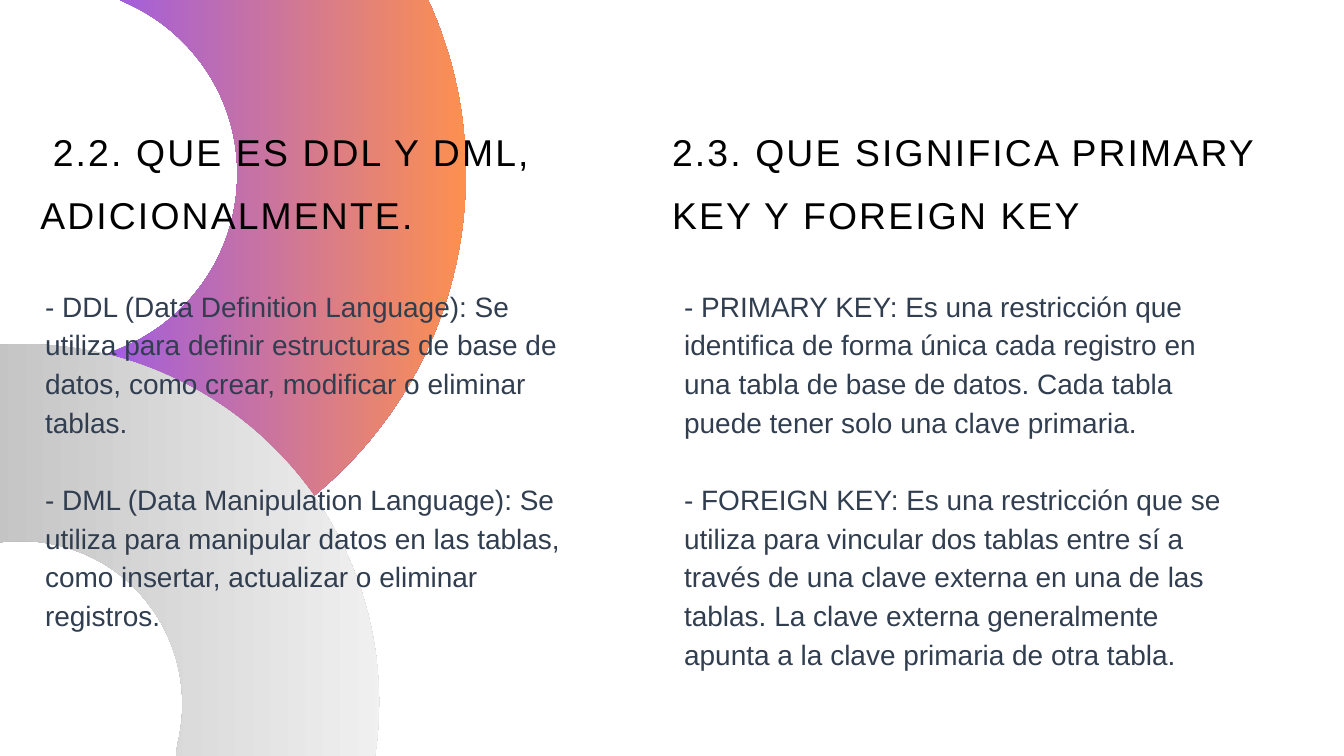
from math import cos, radians, sin

from lxml.etree import SubElement
from pptx import Presentation
from pptx.dml.color import RGBColor
from pptx.enum.text import MSO_AUTO_SIZE as AutoSize
from pptx.oxml.ns import qn
from pptx.util import Pt

PX = 9144


def px(n):
    return round(n * PX)


def color(value):
    return RGBColor.from_string(value)


class Deck:
    font = "Arial"
    title_color = "000000"
    body_color = "313E50"

    def __init__(self, width, height):
        self.prs = Presentation()
        self.prs.slide_width = px(width)
        self.prs.slide_height = px(height)
        self.s = self.prs.slides.add_slide(self.prs.slide_layouts[6])
        self.s.background.fill.solid()
        self.s.background.fill.fore_color.rgb = color("FFFFFF")

    def arc(self, x, y, w, h, angle, start, curves, colors):
        turn = radians(angle)

        def local(point):
            dx = point[0] - x - w / 2
            dy = point[1] - y - h / 2
            return (
                px(w / 2 + dx * cos(turn) + dy * sin(turn)),
                px(h / 2 - dx * sin(turn) + dy * cos(turn)),
            )

        fb = self.s.shapes.build_freeform(0, 0)
        fb.add_line_segments([(px(w), 0), (px(w), px(h))])
        sp = fb.convert_to_shape()
        sp.left, sp.top, sp.width, sp.height = px(x), px(y), px(w), px(h)
        outline = sp._element.xpath(".//a:path")[0]
        for child in list(outline):
            outline.remove(child)
        for tag, points in [
            ("a:moveTo", [start]),
            *(("a:cubicBezTo", curve) for curve in curves),
            ("a:close", []),
        ]:
            segment = SubElement(outline, qn(tag))
            for point in points:
                px_x, px_y = local(point)
                SubElement(segment, qn("a:pt"), x=str(px_x), y=str(px_y))
        sp.shadow.inherit = False
        sp.line.fill.background()
        sp.fill.gradient()
        sp.fill.gradient_angle = 0
        for stop, value in zip(sp.fill.gradient_stops, colors):
            stop.color.rgb = color(value)
        self.s.shapes.add_group_shape([sp]).rotation = angle

    def text(self, x, y, w, h, paragraphs, size, leading, rgb, spacing=0):
        tf = self.s.shapes.add_textbox(px(x), px(y), px(w), px(h)).text_frame
        tf.margin_left = tf.margin_top = tf.margin_right = tf.margin_bottom = 0
        tf.word_wrap = True
        tf.auto_size = AutoSize.SHAPE_TO_FIT_TEXT
        for i, line in enumerate(paragraphs):
            p = tf.add_paragraph() if i else tf.paragraphs[0]
            p.line_spacing = Pt(leading)
            if i:
                p.space_before = Pt(leading)
            r = p.add_run()
            r.text = line
            r.font.name = self.font
            r.font.size = Pt(size)
            r.font.color.rgb = color(rgb)
            if spacing:
                r._r.get_or_add_rPr().set("spc", str(spacing))

    def title(self, x, w, words):
        self.text(x, 164, w, 182, [words], 40, 68, self.title_color, 236)

    def body(self, x, h, paragraphs):
        self.text(x, 423, 809, h, paragraphs, 30, 41.4, self.body_color)

    def save(self):
        self.prs.save("out.pptx")


SUNSET_ARC = [
    ((88, -176), (93, -198), (103, -220)),
    ((142, -305), (242, -344), (327, -305)),
    ((555, -204), (699, 23), (693, 272)),
    ((688, 521), (536, 741), (304, 834)),
    ((216, 869), (117, 827), (83, 739)),
    ((48, 652), (91, 553), (178, 519)),
    ((282, 477), (351, 377), (353, 265)),
    ((356, 153), (291, 51), (189, 5)),
    ((125, -23), (86, -88), (88, -154)),
]
GRAY_ARC = [
    ((-271, 823), (-285, 809), (-295, 792)),
    ((-337, 722), (-316, 633), (-247, 591)),
    ((-64, 478), (167, 487), (342, 612)),
    ((516, 737), (598, 953), (551, 1163)),
    ((533, 1242), (455, 1292), (376, 1274)),
    ((297, 1256), (247, 1177), (266, 1099)),
    ((286, 1004), (249, 907), (171, 850)),
    ((92, 794), (-12, 790), (-94, 840)),
    ((-145, 872), (-210, 868), (-256, 835)),
]


def main():
    deck = Deck(2000, 1125)
    deck.title(1000, 952, "2.3. QUE SIGNIFICA PRIMARY KEY Y FOREIGN KEY")
    deck.arc(-232, -53, 1213, 637, 91.2, (88, -154), SUNSET_ARC, ("8C52FF", "FF914D"))
    deck.arc(-341, 561, 1045, 549, 35.7, (-256, 835), GRAY_ARC, ("A6A6A6", "FFFFFF"))
    deck.title(60, 906, " 2.2. QUE ES DDL Y DML, ADICIONALMENTE.")
    deck.body(67, 515, [
        "- DDL (Data Definition Language): Se utiliza para definir estructuras "
        "de base de datos, como crear, modificar o eliminar tablas.",
        "- DML (Data Manipulation Language): Se utiliza para manipular datos "
        "en las tablas, como insertar, actualizar o eliminar registros.",
    ])
    deck.body(1018, 573, [
        "- PRIMARY KEY: Es una restricción que identifica de forma única cada "
        "registro en una tabla de base de datos. Cada tabla puede tener solo "
        "una clave primaria.",
        "- FOREIGN KEY: Es una restricción que se utiliza para vincular dos "
        "tablas entre sí a través de una clave externa en una de las tablas. "
        "La clave externa generalmente apunta a la clave primaria de otra tabla.",
    ])
    deck.save()


if __name__ == "__main__":
    main()
